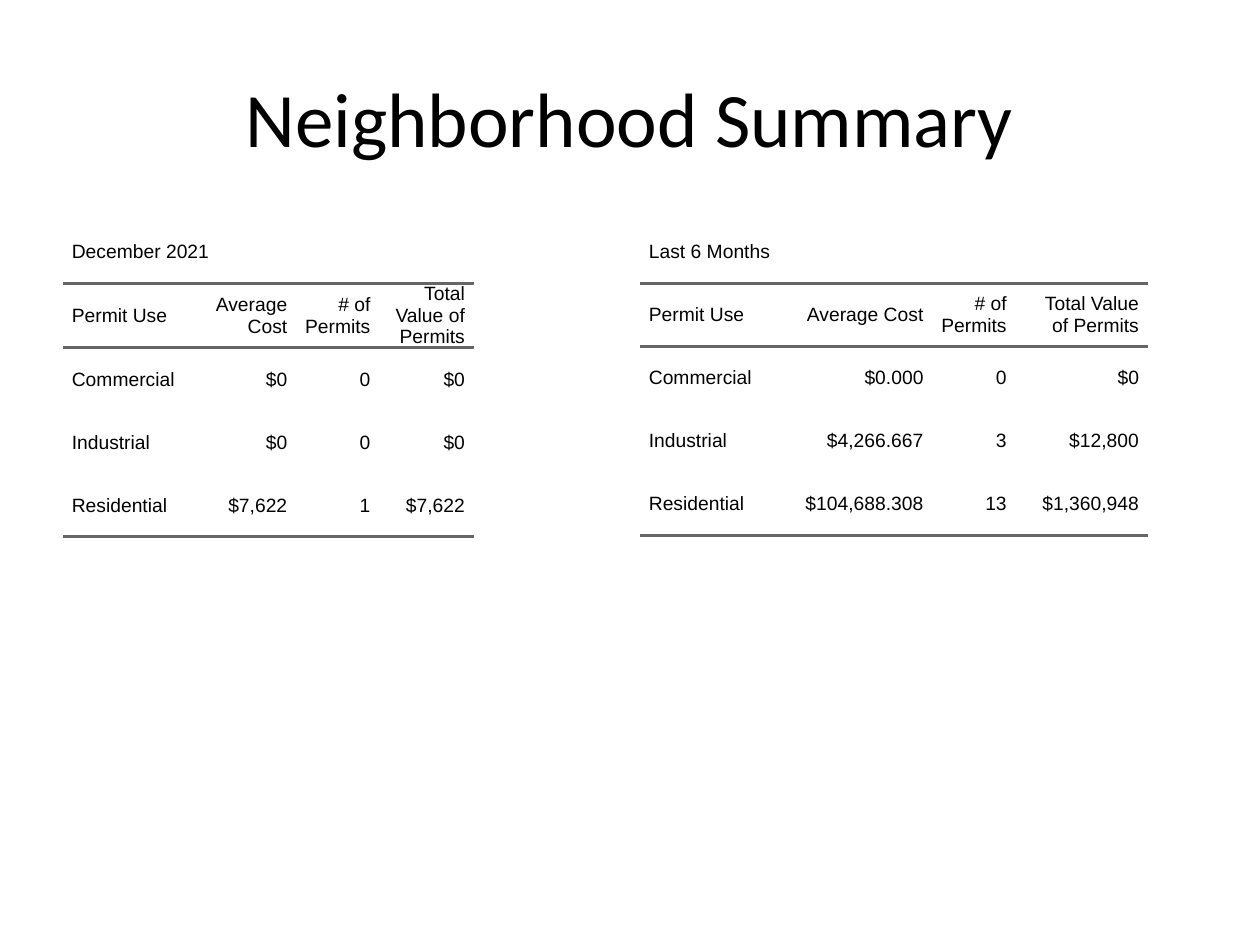
import dataclasses

import pptx
import pptx.dml.color
import pptx.enum.text
import pptx.oxml
import pptx.oxml.ns
import pptx.util

Inches = pptx.util.Inches
Pt = pptx.util.Pt
RGB = pptx.dml.color.RGBColor
ALIGN = pptx.enum.text.PP_ALIGN
MIDDLE = pptx.enum.text.MSO_ANCHOR.MIDDLE

COLORS = {"text": "000000", "rule": "666666"}
HEADERS = ["Permit Use", "Average Cost", "# of Permits", "Total Value of Permits"]
NO_STYLE = "{2D5ABB26-0587-4C30-8999-92F81FD0307C}"
CELL_FORMAT = {
    "margin_left": Inches(0.07),
    "margin_right": Inches(0.07),
    "margin_top": 0,
    "margin_bottom": 0,
    "vertical_anchor": MIDDLE,
}
TABLE_FLAGS = {"first_row": False, "horz_banding": False}
ROW_HEIGHT = 0.5
RULE_WIDTH = 2


@dataclasses.dataclass
class PermitTable:
    period: str
    left: float
    col_widths: list[float]
    rows: list[list[str]]


TABLES = [
    PermitTable("December 2021", 0.5, [1.1, 0.75, 0.66, 0.75], [
        ["Commercial", "$0", "0", "$0"],
        ["Industrial", "$0", "0", "$0"],
        ["Residential", "$7,622", "1", "$7,622"],
    ]),
    PermitTable("Last 6 Months", 5.08, [1.1, 1.22, 0.66, 1.05], [
        ["Commercial", "$0.000", "0", "$0"],
        ["Industrial", "$4,266.667", "3", "$12,800"],
        ["Residential", "$104,688.308", "13", "$1,360,948"],
    ]),
]


def write(p, text: str, font: str, size: float, align) -> None:
    r = p.add_run()
    r.text = text
    p.alignment = align
    for name, value in {"name": font, "size": Pt(size)}.items():
        setattr(r.font, name, value)
    r.font.color.rgb = RGB.from_string(COLORS["text"])


def add_rules(cell, sides: list[str]) -> None:
    tcPr = cell._tc.get_or_add_tcPr()
    for i, side in enumerate(sides):
        tcPr.insert(i, pptx.oxml.parse_xml(
            f'<a:ln{side} {pptx.oxml.ns.nsdecls("a")} w="{Pt(RULE_WIDTH)}">'
            f'<a:solidFill><a:srgbClr val="{COLORS["rule"]}"/></a:solidFill>'
            f'</a:ln{side}>'))


def add_permit_table(s, spec: PermitTable) -> None:
    grid = [[spec.period, "", "", ""], HEADERS, *spec.rows]
    frame = s.shapes.add_table(len(grid), len(HEADERS), Inches(spec.left),
                               Inches(1.75), Inches(4.42), Inches(4.95))
    table = frame.table
    table._tbl.tblPr.find(pptx.oxml.ns.qn("a:tableStyleId")).text = NO_STYLE
    for name, value in TABLE_FLAGS.items():
        setattr(table, name, value)
    for col, width in zip(table.columns, spec.col_widths):
        col.width = Inches(width)
    for row in table.rows:
        row.height = Inches(ROW_HEIGHT)
    frame.width, frame.height = Inches(4.42), Inches(4.95)
    table.cell(0, 0).merge(table.cell(0, len(HEADERS) - 1))

    rules = {1: ["T", "B"], len(grid) - 1: ["B"]}
    for i, values in enumerate(grid):
        for j, text in enumerate(values):
            cell = table.cell(i, j)
            for name, value in CELL_FORMAT.items():
                setattr(cell, name, value)
            cell.fill.background()
            add_rules(cell, rules.get(i, []))
            if text:
                write(cell.text_frame.paragraphs[0], text, "Arial", 11,
                      ALIGN.RIGHT if j else ALIGN.LEFT)


def add_title(s, text: str) -> None:
    sp = s.shapes.title
    box = {"left": 0.5, "top": 0.3, "width": 9, "height": 1.25}
    for name, value in box.items():
        setattr(sp, name, Inches(value))
    sp.text_frame.vertical_anchor = MIDDLE
    write(sp.text_frame.paragraphs[0], text, "Calibri", 44, ALIGN.CENTER)


def main() -> None:
    prs = pptx.Presentation()
    prs.slide_width, prs.slide_height = Inches(10), Inches(7.5)
    s = prs.slides.add_slide(prs.slide_layouts[5])
    add_title(s, "Neighborhood Summary")
    for permit_table in TABLES:
        add_permit_table(s, permit_table)
    prs.save("out.pptx")


if __name__ == "__main__":
    main()
